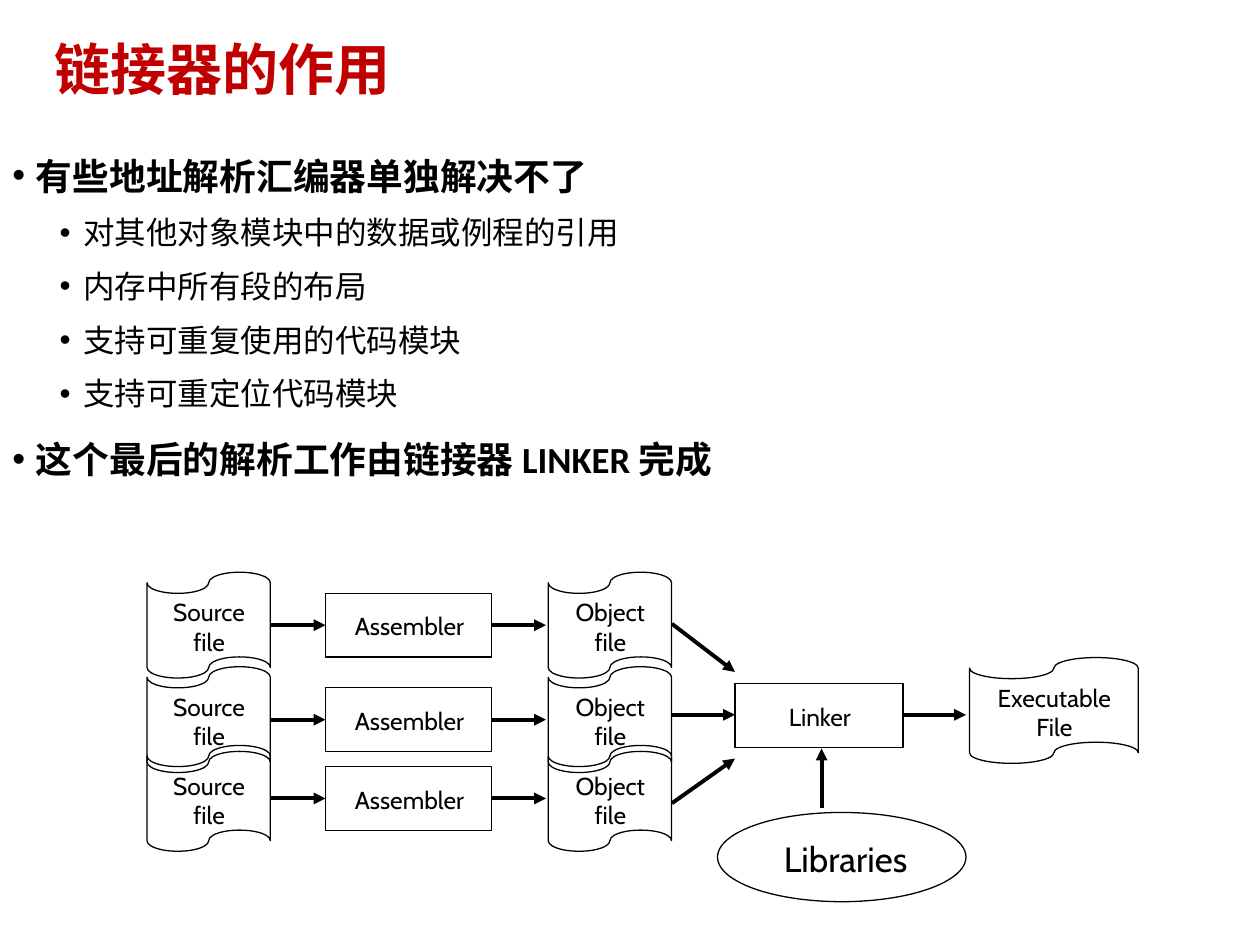
"""Build a slide that explains the role of the linker."""
from dataclasses import dataclass

from lxml.etree import SubElement
from pptx import Presentation
from pptx.dml.color import RGBColor
from pptx.enum.shapes import MSO_CONNECTOR, MSO_SHAPE
from pptx.enum.text import MSO_ANCHOR, PP_ALIGN
from pptx.oxml.ns import qn
from pptx.util import Pt


@dataclass(frozen=True)
class Theme:
    ink: RGBColor = RGBColor(0, 0, 0)
    accent: RGBColor = RGBColor(0xC0, 0, 0)
    chinese_font: str = "Noto Sans CJK SC"
    latin_font: str = "Calibri"
    diagram_font: str = "Cabin"
    title_size: float = 32
    point_size: float = 21
    detail_size: float = 18
    label_size: float = 14
    library_size: float = 20
    outline: float = 0.75
    arrow: float = 2.25


THEME = Theme()
TITLE = "链接器的作用"
BULLETS = [
    (0, "有些地址解析汇编器单独解决不了"),
    (1, "对其他对象模块中的数据或例程的引用"),
    (1, "内存中所有段的布局"),
    (1, "支持可重复使用的代码模块"),
    (1, "支持可重定位代码模块"),
    (0, "这个最后的解析工作由链接器 LINKER 完成"),
]
BULLET_STYLES = [
    dict(margin=13.5, before=7.5, size=THEME.point_size, font=THEME.latin_font, bold=True),
    dict(margin=40.5, before=3.7, size=THEME.detail_size, font=THEME.chinese_font, bold=False),
]
HANGING = 13.5

TAPE, BOX, OVAL = MSO_SHAPE.FLOWCHART_PUNCHED_TAPE, MSO_SHAPE.RECTANGLE, MSO_SHAPE.OVAL
LABEL_INSETS = {TAPE: (0.5, 2), BOX: (1, 1), OVAL: (4.5, 2)}
ROW_CENTERS = [357.25, 411.25, 456.25]
ROW_STAGES = [
    (TAPE, "Source\nfile", 84, 70.5, 60.5),
    (BOX, "Assembler", 186, 95, 36.5),
    (TAPE, "Object\nfile", 313.25, 70.5, 60.5),
]
ROW_ARROWS = [(154.75, 186), (281, 312)]
LINK_STAGES = [
    (BOX, "Linker", (420, 390.75, 96, 36.5), THEME.label_size),
    (TAPE, "Executable\nFile", (554, 375.75, 96.5, 60.5), THEME.label_size),
    (OVAL, "Libraries", (410, 464.25, 142, 51), THEME.library_size),
]
LINK_ARROWS = [
    (384, 408.5, 420, 408.5),
    (516, 408.5, 552, 408.5),
    (384, 356.5, 420, 384),
    (384, 459, 420, 433.5),
    (469.5, 462, 469.5, 427.75),
]


def style_runs(paragraph, font, size, color, bold=False):
    for run in paragraph.runs:
        run.font.name, run.font.size, run.font.bold = font, Pt(size), bold
        run.font.color.rgb = color
        SubElement(run.font._element, qn("a:ea"), typeface=THEME.chinese_font)


def add_text_box(slide, left, top, width, height):
    frame = slide.shapes.add_textbox(Pt(left), Pt(top), Pt(width), Pt(height)).text_frame
    frame.word_wrap = True
    return frame


def add_title(slide):
    frame = add_text_box(slide, 24, 18.75, 620.5, 45)
    frame.vertical_anchor = MSO_ANCHOR.MIDDLE
    frame.text = TITLE
    paragraph = frame.paragraphs[0]
    paragraph.line_spacing = 0.9
    style_runs(paragraph, THEME.chinese_font, THEME.title_size, THEME.accent, True)


def add_bullets(slide):
    frame = add_text_box(slide, 0, 77.75, 720, 462.25)
    for index, (level, text) in enumerate(BULLETS):
        style = BULLET_STYLES[level]
        paragraph = frame.add_paragraph() if index else frame.paragraphs[0]
        paragraph.text = text
        paragraph.level = level
        paragraph.line_spacing = 1.25
        paragraph.space_before = Pt(style["before"])
        properties = paragraph._p.get_or_add_pPr()
        properties.set("marL", str(Pt(style["margin"])))
        properties.set("indent", str(-Pt(HANGING)))
        SubElement(properties, qn("a:buFont"), typeface="Arial")
        SubElement(properties, qn("a:buChar"), char="•")
        style_runs(paragraph, style["font"], style["size"], THEME.ink, style["bold"])


def add_stage(slide, kind, label, bounds, size):
    shape = slide.shapes.add_shape(kind, *map(Pt, bounds))
    shape.shadow.inherit = False
    shape.fill.background()
    shape.line.color.rgb = THEME.ink
    shape.line.width = Pt(THEME.outline)
    frame = shape.text_frame
    frame.word_wrap = False
    frame.vertical_anchor = MSO_ANCHOR.MIDDLE
    frame.margin_left, frame.margin_top = map(Pt, LABEL_INSETS[kind])
    frame.margin_right = frame.margin_bottom = 0
    paragraph = frame.paragraphs[0]
    paragraph.text = label
    paragraph.alignment = PP_ALIGN.CENTER
    style_runs(paragraph, THEME.diagram_font, size, THEME.ink)


def add_arrow(slide, *ends):
    connector = slide.shapes.add_connector(MSO_CONNECTOR.STRAIGHT, *map(Pt, ends))
    connector.line.color.rgb = THEME.ink
    connector.line.width = Pt(THEME.arrow)
    SubElement(connector.line._get_or_add_ln(), qn("a:tailEnd"), type="triangle")
    SubElement(connector._element.spPr, qn("a:effectLst"))


def add_diagram(slide):
    for kind, label, bounds, size in LINK_STAGES:
        add_stage(slide, kind, label, bounds, size)
    for center in ROW_CENTERS:
        for kind, label, left, width, height in ROW_STAGES:
            bounds = (left, center - height / 2, width, height)
            add_stage(slide, kind, label, bounds, THEME.label_size)
        for start, end in ROW_ARROWS:
            add_arrow(slide, start, center, end, center)
    for ends in LINK_ARROWS:
        add_arrow(slide, *ends)


def main():
    presentation = Presentation()
    presentation.slide_width, presentation.slide_height = Pt(720), Pt(540)
    slide = presentation.slides.add_slide(presentation.slide_layouts[6])
    add_bullets(slide)
    add_title(slide)
    add_diagram(slide)
    presentation.save("out.pptx")


if __name__ == "__main__":
    main()
